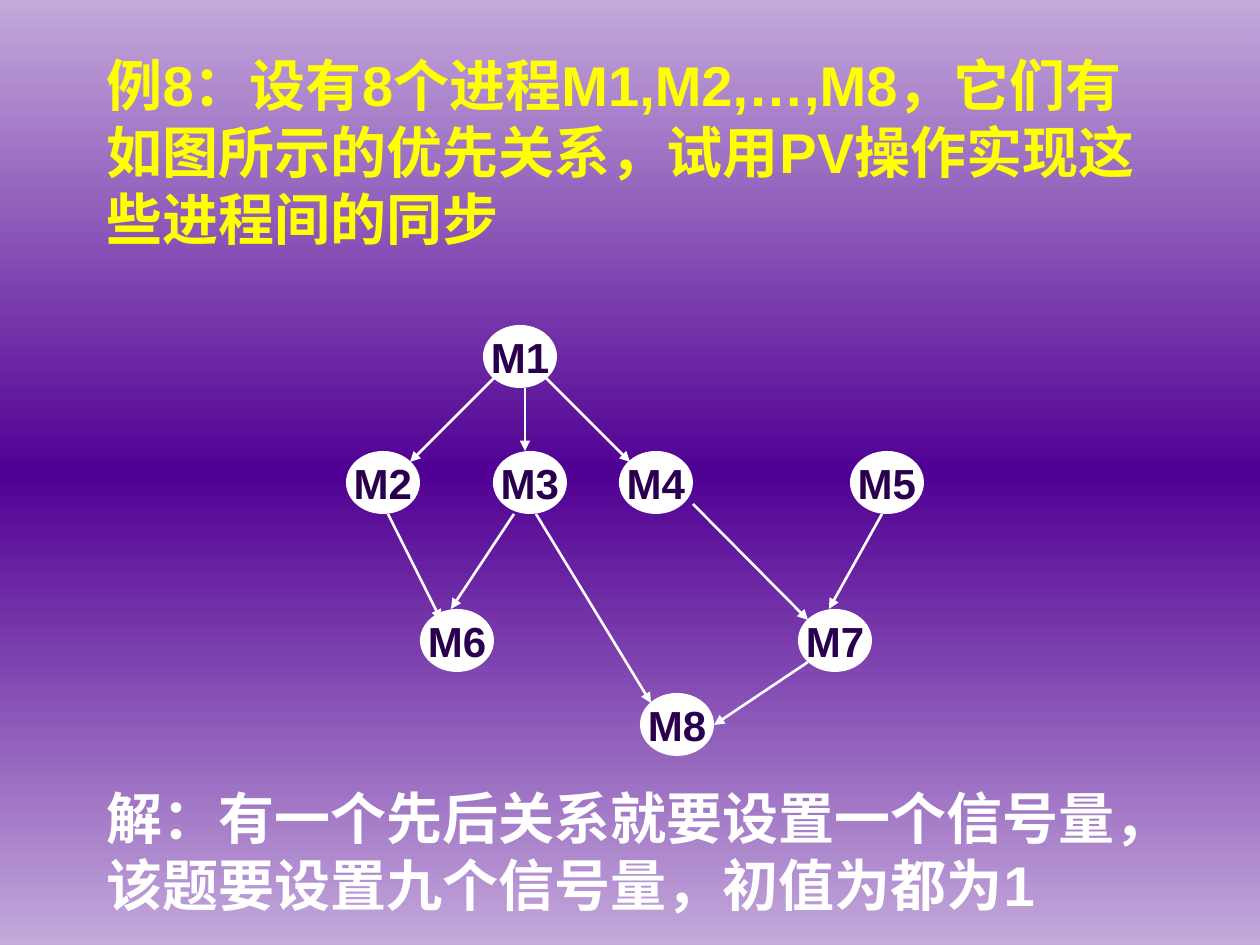
from copy import deepcopy

from pptx import Presentation
from pptx.dml.color import RGBColor
from pptx.enum.shapes import MSO_CONNECTOR as CONN, MSO_SHAPE as SHAPE
from pptx.enum.text import MSO_ANCHOR as ANCHOR, MSO_AUTO_SIZE as AUTO, PP_ALIGN as ALIGN
from pptx.oxml.ns import qn
from pptx.oxml.xmlchemy import OxmlElement
from pptx.util import Emu, Pt

COLORS = {"edge": "C4A9DB", "middle": "500093", "title": "FFFF00",
          "white": "FFFFFF", "label": "2A004E"}


def px(*values):
    """Turn pixels, 126 to the inch, into EMU."""
    return [Emu(round(v * 914400 / 126)) for v in values]


def write(sp, text, size=32, color="white", align=ALIGN.LEFT, anchor=ANCHOR.TOP,
          wrap=True, before=0):
    tf = sp.text_frame
    tf.auto_size = AUTO.NONE
    tf.word_wrap = wrap
    tf.vertical_anchor = anchor
    p = tf.paragraphs[0]
    p.alignment = align
    p.space_before = Pt(before)
    r = p.add_run()
    r.text = text
    r.font.name = "Arial"
    r.font.size = Pt(size)
    r.font.bold = True
    r.font.color.rgb = RGBColor.from_string(COLORS[color])


prs = Presentation()
prs.slide_width, prs.slide_height = px(1260, 945)
s = prs.slides.add_slide(prs.slide_layouts[5])
white = RGBColor.from_string(COLORS["white"])

# Background: light at both edges, dark in the middle
fill = s.background.fill
fill.gradient()
fill.gradient_angle = 90
for stop, name, position in zip(fill.gradient_stops, ("edge", "middle"), (0, 0.5)):
    stop.color.rgb = RGBColor.from_string(COLORS[name])
    stop.position = position
stops = s._element.find(".//" + qn("a:gsLst"))
stops.append(deepcopy(stops[0]))
stops[-1].set("pos", "100000")

# Title
title = s.shapes.title
title.left, title.top, title.width, title.height = px(94, 63, 1061, 176)
write(title, "例8：设有8个进程M1,M2,…,M8，它们有如图所示的优先关系，试用PV操作实现这些进程间的同步",
      color="title", anchor=ANCHOR.MIDDLE)

# Processes: left and top of each ellipse
processes = {
    "M1": (483, 325), "M2": (346, 451), "M3": (493, 451), "M4": (619, 451),
    "M5": (850, 451), "M6": (420, 609), "M7": (798, 609), "M8": (640, 693),
}
for name, (x, y) in processes.items():
    sp = s.shapes.add_shape(SHAPE.OVAL, *px(x, y, 74, 63))
    sp.shadow.inherit = False
    sp.fill.solid()
    sp.fill.fore_color.rgb = white
    sp.line.fill.background()
    write(sp, name, size=24, color="label", align=ALIGN.CENTER,
          anchor=ANCHOR.MIDDLE, wrap=False, before=6)

# Precedence arrows: start x, y and end x, y
arrows = [
    (494, 378, 410, 462),  # M1 to M2
    (525, 388, 525, 451),  # M1 to M3
    (546, 378, 630, 462),  # M1 to M4
    (388, 514, 441, 620),  # M2 to M6
    (514, 514, 451, 609),  # M3 to M6
    (536, 514, 651, 703),  # M3 to M8
    (693, 504, 808, 620),  # M4 to M7
    (882, 514, 829, 609),  # M5 to M7
    (808, 662, 714, 725),  # M7 to M8
]
for ends in arrows:
    arrow = s.shapes.add_connector(CONN.STRAIGHT, *px(*ends))
    arrow.line.color.rgb = white
    arrow.line.width = Pt(1.5)
    head = OxmlElement("a:tailEnd")
    head.set("type", "triangle")
    arrow.line._get_or_add_ln().append(head)
    arrow._element.spPr.append(OxmlElement("a:effectLst"))

# Solution
solution = s.shapes.add_textbox(*px(94, 777, 1092, 147))
write(solution, "解：有一个先后关系就要设置一个信号量，该题要设置九个信号量，初值为都为1", before=8)

prs.save("out.pptx")
